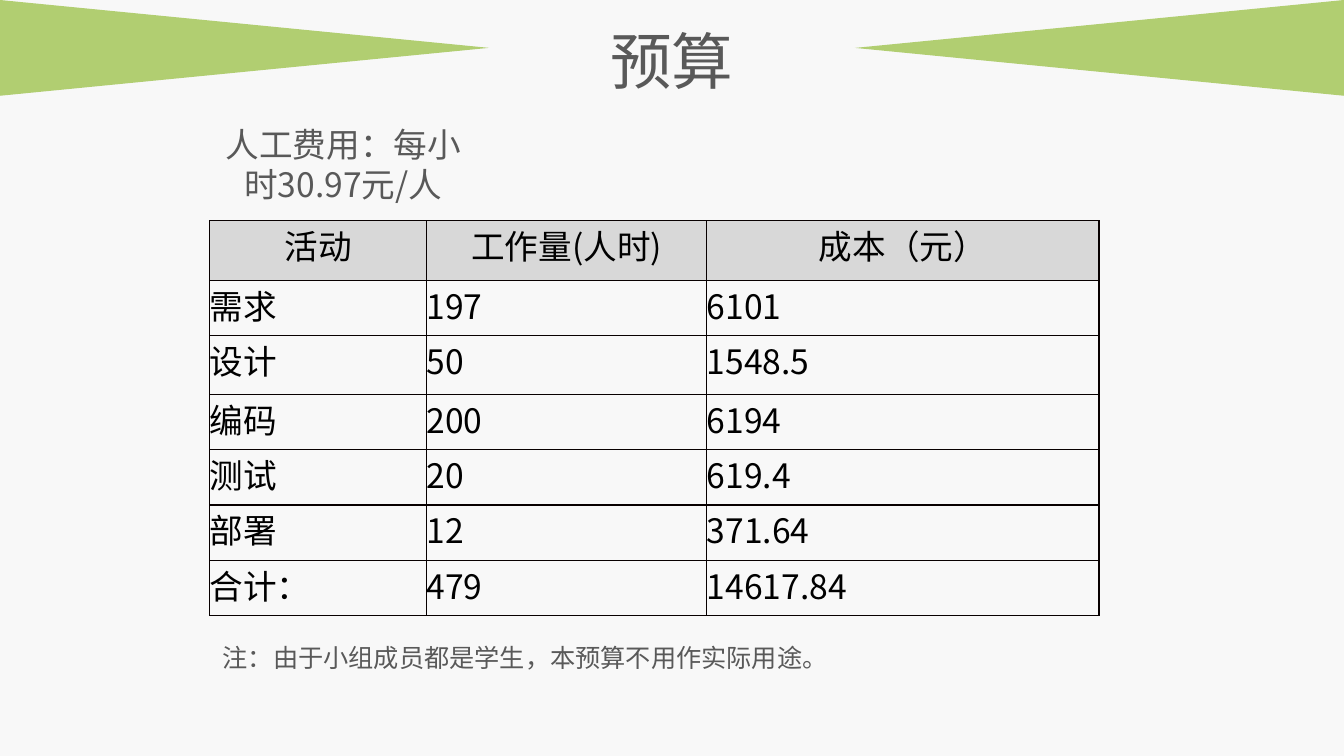
"""Build the project budget slide."""
from dataclasses import dataclass

from lxml.etree import SubElement
from pptx import Presentation
from pptx.dml.color import RGBColor
from pptx.enum.shapes import MSO_SHAPE
from pptx.enum.text import MSO_ANCHOR, PP_ALIGN
from pptx.oxml.ns import qn
from pptx.slide import Slide
from pptx.table import Table, _Cell
from pptx.text.text import TextFrame
from pptx.util import Emu, Inches, Pt

FONT = "Noto Sans CJK SC"
GREY, GREEN, BLACK = "595959", "B1CE71", "000000"
HEADER_FILL, BACKGROUND = "D8D8D8", "F8F8F8"
COLUMNS, ROWS = 133.3, 75
BUDGET = [
    ("活动", "工作量(人时)", "成本（元）"),
    ("需求", "197", "6101"),
    ("设计", "50", "1548.5"),
    ("编码", "200", "6194"),
    ("测试", "20", "619.4"),
    ("部署", "12", "371.64"),
    ("合计：", "479", "14617.84"),
]
COLUMN_WIDTHS = [21.5, 27.8, 38.9]
ROW_HEIGHTS = [5.9, 5.5, 5.8, 5.5, 5.5, 5.5, 5.5]


@dataclass(frozen=True)
class Area:
    """A rectangle in grid columns and rows."""

    left: float
    top: float
    width: float
    height: float

    def lengths(self) -> tuple[Emu, Emu, Emu, Emu]:
        """Return left, top, width and height as slide lengths."""
        return grid(self.left), grid(self.top), grid(self.width), grid(self.height)


@dataclass(frozen=True)
class Wedge:
    """A triangle pointing inwards from a side of the slide."""

    left: float
    rotation: int


@dataclass(frozen=True)
class Caption:
    """A line of text beside the table."""

    text: str
    area: Area
    size: int
    align: PP_ALIGN
    spacing: float


WEDGE_LENGTH, WEDGE_BASE = 48.5, 9.5
WEDGES = [Wedge(0, 90), Wedge(COLUMNS - WEDGE_LENGTH, 270)]
TITLE_AREA = Area(47.3, 1.8, 38.7, 8.4)
TABLE_AREA = Area(20.8, 21.9, sum(COLUMN_WIDTHS), sum(ROW_HEIGHTS))
CAPTIONS = [
    Caption("人工费用：每小时30.97元/人", Area(20.8, 11.8, 26.5, 9.1), 24, PP_ALIGN.CENTER, 1),
    Caption("注：由于小组成员都是学生，本预算不用作实际用途。",
            Area(21.1, 62.3, 88.6, 4.9), 18, PP_ALIGN.LEFT, 1.3),
]


def grid(units: float) -> Emu:
    """Convert grid units to a slide length."""
    return Inches(units / 10)


def color(value: str) -> RGBColor:
    """Convert a hex string to a colour."""
    return RGBColor.from_string(value)


def write_text(frame: TextFrame, text: str, *, size: int, fill: str = GREY,
               align: PP_ALIGN = PP_ALIGN.LEFT, spacing: float = 1) -> None:
    """Write one formatted paragraph into a text frame."""
    frame.word_wrap = True
    paragraph = frame.paragraphs[0]
    paragraph.alignment = align
    paragraph.line_spacing = spacing
    run = paragraph.add_run()
    run.text = text
    run.font.size = Pt(size)
    run.font.name = FONT
    run.font.color.rgb = color(fill)
    SubElement(run.font._element, qn("a:ea"), typeface=FONT)


def add_wedge(slide: Slide, wedge: Wedge) -> None:
    """Draw a triangle turned onto its side."""
    shift = (WEDGE_LENGTH - WEDGE_BASE) / 2
    area = Area(wedge.left + shift, -shift, WEDGE_BASE, WEDGE_LENGTH)
    shape = slide.shapes.add_shape(MSO_SHAPE.ISOSCELES_TRIANGLE, *area.lengths())
    shape.rotation = wedge.rotation
    shape.shadow.inherit = False
    shape.fill.solid()
    shape.fill.fore_color.rgb = color(GREEN)
    shape.line.fill.background()


def add_title(slide: Slide) -> None:
    """Place and write the title."""
    title = slide.shapes.title
    title.left, title.top, title.width, title.height = TITLE_AREA.lengths()
    title.text_frame.vertical_anchor = MSO_ANCHOR.TOP
    write_text(title.text_frame, "预算", size=44, align=PP_ALIGN.CENTER)


def add_caption(slide: Slide, caption: Caption) -> None:
    """Place and write a caption."""
    box = slide.shapes.add_textbox(*caption.area.lengths())
    write_text(box.text_frame, caption.text, size=caption.size,
               align=caption.align, spacing=caption.spacing)


def format_cell(cell: _Cell, text: str, is_header: bool) -> None:
    """Write a cell and set its borders and fill."""
    cell.margin_left = cell.margin_top = cell.margin_right = cell.margin_bottom = 0
    write_text(cell.text_frame, text, size=24, fill=BLACK,
               align=PP_ALIGN.CENTER if is_header else PP_ALIGN.LEFT)
    properties = cell._tc.get_or_add_tcPr()
    for side in ("a:lnL", "a:lnR", "a:lnT", "a:lnB"):
        line = SubElement(properties, qn(side), w=str(Pt(1)))
        SubElement(SubElement(line, qn("a:solidFill")), qn("a:srgbClr"), val="080000")
    if is_header:
        cell.fill.solid()
        cell.fill.fore_color.rgb = color(HEADER_FILL)
    else:
        cell.fill.background()


def add_budget(slide: Slide) -> None:
    """Draw the budget table."""
    frame = slide.shapes.add_table(len(BUDGET), len(COLUMN_WIDTHS), *TABLE_AREA.lengths())
    table: Table = frame.table
    table.first_row = table.horz_banding = False
    for column, width in zip(table.columns, COLUMN_WIDTHS):
        column.width = grid(width)
    for row, height, texts in zip(table.rows, ROW_HEIGHTS, BUDGET):
        row.height = grid(height)
        for cell, text in zip(row.cells, texts):
            format_cell(cell, text, texts is BUDGET[0])


def main() -> None:
    """Build and save the presentation."""
    presentation = Presentation()
    presentation.slide_width, presentation.slide_height = grid(COLUMNS), grid(ROWS)
    slide = presentation.slides.add_slide(presentation.slide_layouts[5])
    slide.background.fill.solid()
    slide.background.fill.fore_color.rgb = color(BACKGROUND)
    for wedge in WEDGES:
        add_wedge(slide, wedge)
    add_title(slide)
    add_budget(slide)
    for caption in CAPTIONS:
        add_caption(slide, caption)
    presentation.save("out.pptx")


if __name__ == "__main__":
    main()
